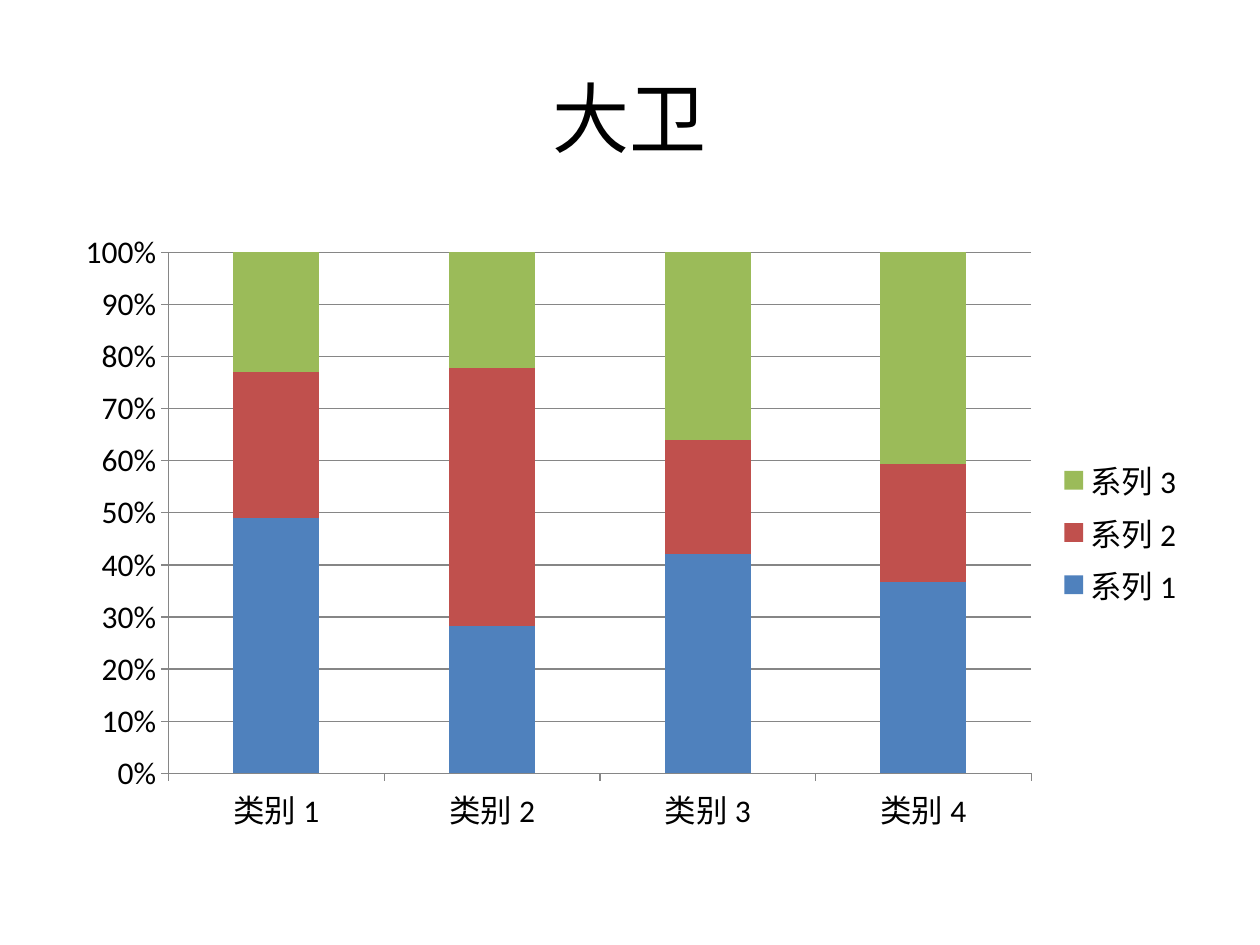
from pptx import Presentation
from pptx.chart.data import CategoryChartData as ChartData
from pptx.dml.color import RGBColor
from pptx.enum.chart import XL_CHART_TYPE as Kind
from pptx.enum.chart import XL_LEGEND_POSITION as Side
from pptx.enum.chart import XL_TICK_MARK as Tick
from pptx.enum.text import MSO_ANCHOR as Anchor
from pptx.enum.text import PP_ALIGN as Align
from pptx.util import Cm, Pt

FACE = "Calibri"
BLACK = "000000"
GREY = "868686"
CATS = [f"类别 {n}" for n in range(1, 5)]
SERIES = [
    ("系列 1", (49, 28, 42, 37), "4F81BD"),
    ("系列 2", (28, 49, 22, 23), "C0504D"),
    ("系列 3", (23, 22, 36, 41), "9BBB59"),
]


def paint(color, code):
    """Set a colour object from a hex string."""
    color.rgb = RGBColor.from_string(code)


def style(font, size):
    """Give a font the slide's face and colour at one size."""
    font.name = FACE
    font.size = Pt(size)
    paint(font.color, BLACK)


def add_title(slide, text, box):
    """Add the centred slide title."""
    frame = slide.shapes.add_textbox(*box).text_frame
    frame.word_wrap = True
    frame.vertical_anchor = Anchor.MIDDLE
    line = frame.paragraphs[0]
    line.text = text
    line.alignment = Align.CENTER
    style(line.font, 44)


def draw_line(form):
    """Draw a thin grey line for an axis or grid."""
    form.line.width = Pt(0.75)
    paint(form.line.color, GREY)


def add_stack(slide, box):
    """Add the 100% stacked column chart."""
    data = ChartData()
    data.categories = CATS
    for name, vals, _ in SERIES:
        data.add_series(name, vals)
    chart = slide.shapes.add_chart(Kind.COLUMN_STACKED_100, *box, data).chart
    style(chart.font, 18)
    chart.has_title = False
    chart.has_legend = True
    chart.legend.position = Side.RIGHT
    chart.legend.include_in_layout = False

    plot = chart.plots[0]
    plot.gap_width = 150
    plot.overlap = 100
    plot.vary_by_categories = False
    for bar, (_, _, code) in zip(plot.series, SERIES):
        bar.format.fill.solid()
        paint(bar.format.fill.fore_color, code)

    for axis in (chart.category_axis, chart.value_axis):
        axis.major_tick_mark = Tick.OUTSIDE
        axis.minor_tick_mark = Tick.NONE
        draw_line(axis.format)
    scale = chart.value_axis
    scale.has_major_gridlines = True
    draw_line(scale.major_gridlines.format)
    scale.tick_labels.number_format = "0%"
    scale.tick_labels.number_format_is_linked = False


def main():
    """Build and save the slide."""
    deck = Presentation()
    deck.slide_width, deck.slide_height = Cm(25.4), Cm(19.05)
    slide = deck.slides.add_slide(deck.slide_layouts[6])
    left, width = Cm(1.27), Cm(22.86)
    add_title(slide, "大卫", (left, Cm(0.76), width, Cm(3.18)))
    add_stack(slide, (left, Cm(4.45), width, Cm(12.57)))
    deck.save("out.pptx")


main()
